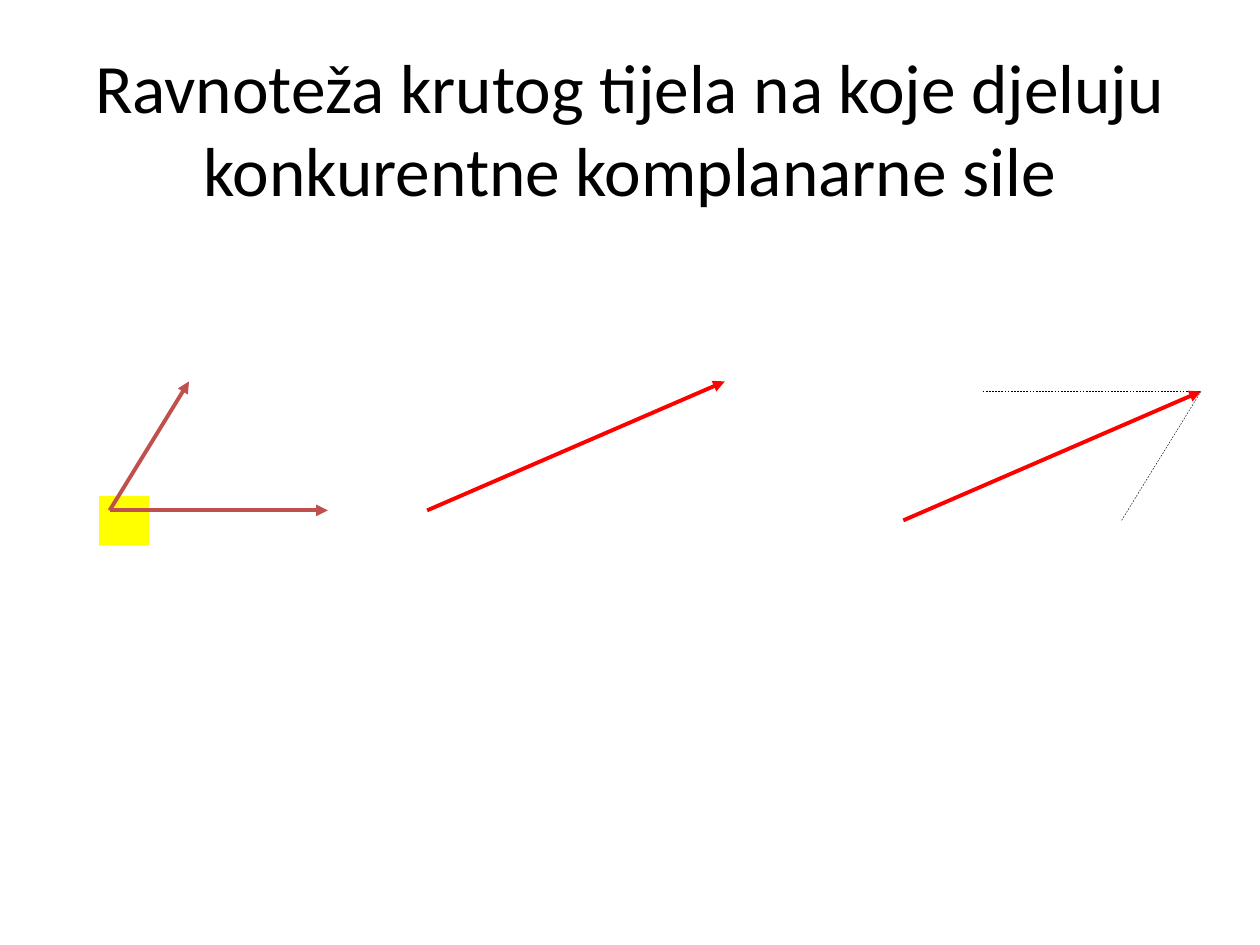
from lxml.etree import SubElement
from pptx import Presentation
from pptx.dml.color import RGBColor
from pptx.enum.dml import MSO_LINE
from pptx.enum.shapes import MSO_CONNECTOR
from pptx.enum.text import MSO_ANCHOR, PP_ALIGN
from pptx.oxml.ns import qn
from pptx.util import Cm, Pt

COLORS = {
    "text": "000000",
    "body": "FFFF00",
    "force": "C0504D",
    "resultant": "FF0000",
    "construction": "000000",
}

presentation = Presentation()
presentation.slide_width = Cm(25.4)
presentation.slide_height = Cm(19.05)
slide = presentation.slides.add_slide(presentation.slide_layouts[6])


def add_vector(start, vector, color, width, arrow=True):
    x, y = start
    dx, dy = vector
    line = slide.shapes.add_connector(
        MSO_CONNECTOR.STRAIGHT, Cm(x), Cm(y), Cm(x + dx), Cm(y + dy))
    line.line.color.rgb = RGBColor.from_string(COLORS[color])
    line.line.width = Pt(width)
    if arrow:
        SubElement(line.line._get_or_add_ln(), qn("a:tailEnd"), type="triangle")
    else:
        line.line.dash_style = MSO_LINE.DASH
    SubElement(line._element.spPr, qn("a:effectLst"))


# Rigid body: cubic curves, each with two control points and an end point
body_start = (2.29, 9.53)
body_curves = [
    ((2.57, 9.63), (2.69, 9.86), (2.97, 9.93)),
    ((3.2, 10.24), (3.12, 10.44), (3.05, 10.77)),
    ((2.69, 10.74), (2.26, 10.85), (2.01, 10.67)),
    ((1.22, 10.11), (2.57, 10.9), (1.73, 10.41)),
    ((1.57, 10.08), (1.6, 10.03), (1.73, 9.68)),
    ((1.73, 9.63), (1.7, 9.55), (1.78, 9.53)),
    ((1.93, 9.5), (2.11, 9.53), body_start),
]
STEPS = 12
outline = []
corner = body_start
for control_1, control_2, end in body_curves:
    for step in range(1, STEPS + 1):
        t = step / STEPS
        u = 1 - t
        outline.append(tuple(
            u**3 * a + 3 * u**2 * t * b + 3 * u * t**2 * c + t**3 * d
            for a, b, c, d in zip(corner, control_1, control_2, end)))
    corner = end
builder = slide.shapes.build_freeform(*body_start, scale=Cm(1))
builder.add_line_segments(outline, close=True)
body = builder.convert_to_shape()
body.shadow.inherit = False
body.fill.solid()
body.fill.fore_color.rgb = RGBColor.from_string(COLORS["body"])
body.line.fill.background()

# Two forces and their sum
horizontal = (4.4, 0)
oblique = (1.6, -2.6)
resultant = (horizontal[0] + oblique[0], horizontal[1] + oblique[1])
forces_origin = (2.21, 10.29)
resultant_origin = (8.61, 10.29)
parallelogram_origin = (18.21, 10.49)

add_vector(resultant_origin, resultant, "resultant", 2.25)

# Parallelogram: each dashed side starts at the tip of the other force
for tip, side in ((oblique, horizontal), (horizontal, oblique)):
    start = (parallelogram_origin[0] + tip[0], parallelogram_origin[1] + tip[1])
    add_vector(start, side, "construction", 0.25, arrow=False)
add_vector(parallelogram_origin, resultant, "resultant", 2.25)

# Forces acting on the body
for force in (oblique, horizontal):
    add_vector(forces_origin, force, "force", 2.25)

# Title
title = slide.shapes.add_textbox(Cm(1.27), Cm(0.76), Cm(22.86), Cm(3.18))
title_frame = title.text_frame
title_frame.word_wrap = True
title_frame.vertical_anchor = MSO_ANCHOR.TOP
title_line = title_frame.paragraphs[0]
title_line.alignment = PP_ALIGN.CENTER
title_run = title_line.add_run()
title_run.text = "Ravnoteža krutog tijela na koje djeluju konkurentne komplanarne sile"
title_run.font.name = "Calibri"
title_run.font.size = Pt(39.6)
title_run.font.color.rgb = RGBColor.from_string(COLORS["text"])

presentation.save("out.pptx")
